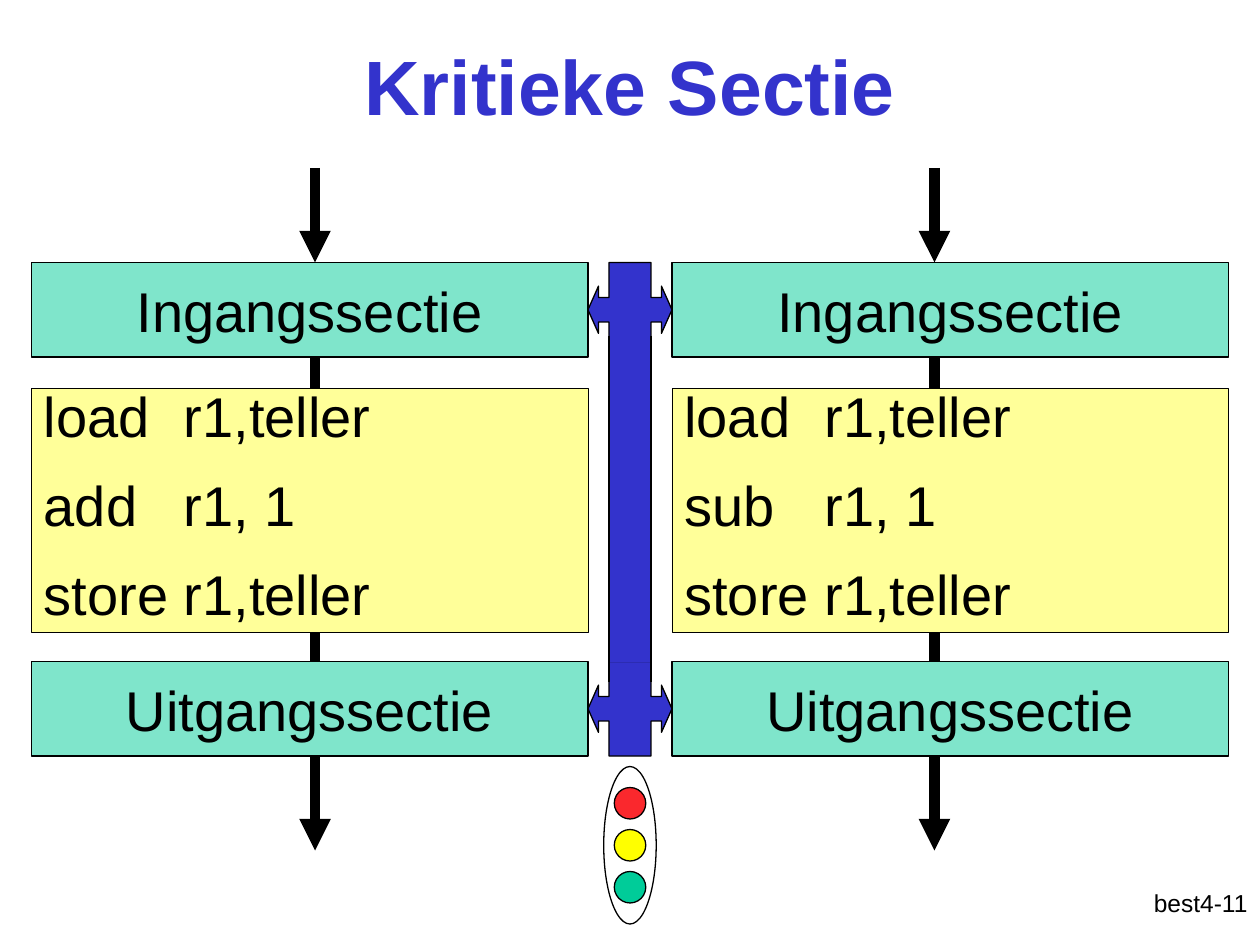
from lxml import etree
from pptx import Presentation
from pptx.dml.color import RGBColor
from pptx.enum.shapes import MSO_CONNECTOR, MSO_SHAPE
from pptx.enum.text import MSO_ANCHOR, MSO_AUTO_SIZE, PP_ALIGN
from pptx.oxml.ns import qn
from pptx.util import Pt

RECT, OVAL = MSO_SHAPE.RECTANGLE, MSO_SHAPE.OVAL
STRAIGHT = MSO_CONNECTOR.STRAIGHT
TOP, MID = MSO_ANCHOR.TOP, MSO_ANCHOR.MIDDLE
LEFT, CENTER, RIGHT = PP_ALIGN.LEFT, PP_ALIGN.CENTER, PP_ALIGN.RIGHT
GROW = MSO_AUTO_SIZE.SHAPE_TO_FIT_TEXT

BLACK, WHITE, BLUE = "000000", "FFFFFF", "3333CC"
GREEN, CREAM = "00CC99", "FFFF99"
LAMPS = ["FA282D", "FFFF00", GREEN]

TITLE, PAGE = "Kritieke Sectie", "best4-11"
ENTRY, LEAVE = "Ingangssectie", "Uitgangssectie"
# box left, flow line x, code
TASKS = [
    (18, 180, ["load\tr1,teller", "add\tr1, 1", "store\tr1,teller"]),
    (384, 534, ["load\tr1,teller", "sub\tr1, 1", "store\tr1,teller"]),
]

BOX_W, BOX_H = 318, 54
ENTRY_Y, CODE_Y, LEAVE_Y = 150, 222, 378
CODE_H, CODE_TAB = 139.5, 80
FLOW = 54  # length of the arrows in and out
MID_X, BAR = 360, 12  # centre and half width of the blue bar
# upper right quarter of the cross, from its centre
QUARTER = [(BAR, -27), (BAR, -7), (18, -7), (18, -13.5), (24, 0)]

prs = Presentation()
prs.slide_width, prs.slide_height = Pt(720), Pt(540)
slide = prs.slides.add_slide(prs.slide_layouts[6])
shapes = slide.shapes


def rgb(code):
    return RGBColor.from_string(code)


def paint(shape, fill, line=BLACK, width=0.75):
    shape.shadow.inherit = False
    shape.fill.solid()
    shape.fill.fore_color.rgb = rgb(fill)
    shape.line.color.rgb = rgb(line)
    shape.line.width = Pt(width)
    return shape


def block(kind, x, y, w, h, fill, line=BLACK, width=0.75):
    return paint(shapes.add_shape(kind, Pt(x), Pt(y), Pt(w), Pt(h)),
                 fill, line, width)


def fade(shape, share):
    """Make the solid fill see-through, share in percent."""
    color = shape.fill._xPr.find(qn("a:solidFill"))[0]
    etree.SubElement(color, qn("a:alpha"), val=str(share * 1000))


def write(shape, lines, size=32, color=BLACK, bold=False, align=CENTER,
          anchor=MID, wrap=True, **gaps):
    frame = shape.text_frame
    frame.word_wrap, frame.vertical_anchor = wrap, anchor
    frame.text = "\n".join(lines)
    look = {"name": "Arial", "size": Pt(size), "bold": bold}
    for par in frame.paragraphs:
        for key, val in {"alignment": align, **gaps}.items():
            setattr(par, key, val)
        font = par.runs[0].font
        for key, val in look.items():
            setattr(font, key, val)
        font.color.rgb = rgb(color)
    return frame


def label(x, y, w, h, text, **look):
    write(shapes.add_textbox(Pt(x), Pt(y), Pt(w), Pt(h)), [text], **look)


def upright(x, top, end, width, arrow=False):
    line = shapes.add_connector(STRAIGHT, Pt(x), Pt(top), Pt(x), Pt(end))
    line.line.color.rgb = rgb(BLACK)
    line.line.width = Pt(width)
    if arrow:
        etree.SubElement(line.line._get_or_add_ln(), qn("a:tailEnd"),
                         type="triangle")
    etree.SubElement(line._element.spPr, qn("a:effectLst"))


def section(x, y, text):
    box = block(RECT, x, y, BOX_W, BOX_H, GREEN)
    fade(box, 50)
    write(box, [text], wrap=False)


def code(x, lines):
    box = block(RECT, x, CODE_Y, BOX_W, CODE_H, CREAM, width=0.25)
    frame = write(box, lines, align=LEFT, anchor=TOP,
                  line_spacing=0.8, space_before=Pt(20))
    frame.auto_size = GROW
    for par in frame.paragraphs:
        tabs = etree.SubElement(par._p.get_or_add_pPr(), qn("a:tabLst"))
        etree.SubElement(tabs, qn("a:tab"), pos=str(Pt(CODE_TAB)), algn="l")


def cross(y):
    """Bar piece with an arrow to each side, mirrored from one quarter."""
    right = QUARTER + [(dx, -dy) for dx, dy in QUARTER[-2::-1]]
    ring = right + [(-dx, dy) for dx, dy in right[::-1]]
    spots = [(Pt(MID_X + dx), Pt(y + BOX_H / 2 + dy)) for dx, dy in ring]
    pen = shapes.build_freeform(*spots[0])
    pen.add_line_segments(spots[1:], close=True)
    paint(pen.convert_to_shape(), BLUE)


def main():
    label(570.24, 504, 149.76, 36, PAGE, size=14, align=RIGHT, anchor=TOP)
    label(54, 3.6, 612, 90, TITLE, size=44, color=BLUE, bold=True)

    for x, flow, lines in TASKS:
        upright(flow, ENTRY_Y + BOX_H, LEAVE_Y, 6)
        section(x, ENTRY_Y, ENTRY)
        section(x, LEAVE_Y, LEAVE)
        code(x, lines)
        for top in (ENTRY_Y - FLOW, LEAVE_Y + BOX_H):
            upright(flow, top, top + FLOW, 6, arrow=True)

    cross(ENTRY_Y)
    cross(LEAVE_Y)
    low = ENTRY_Y + BOX_H
    block(RECT, MID_X - BAR, low, 2 * BAR, LEAVE_Y - low, BLUE, BLUE)
    for x in (MID_X - BAR, MID_X + BAR):
        upright(x, low - 12, LEAVE_Y + 12, 0.75)

    block(OVAL, MID_X - 15, 438, 30, 90, WHITE)
    for i, lamp in enumerate(LAMPS):
        block(OVAL, MID_X - 9, 450 + 24 * i, 18, 18, lamp)

    prs.save("out.pptx")


if __name__ == "__main__":
    main()
